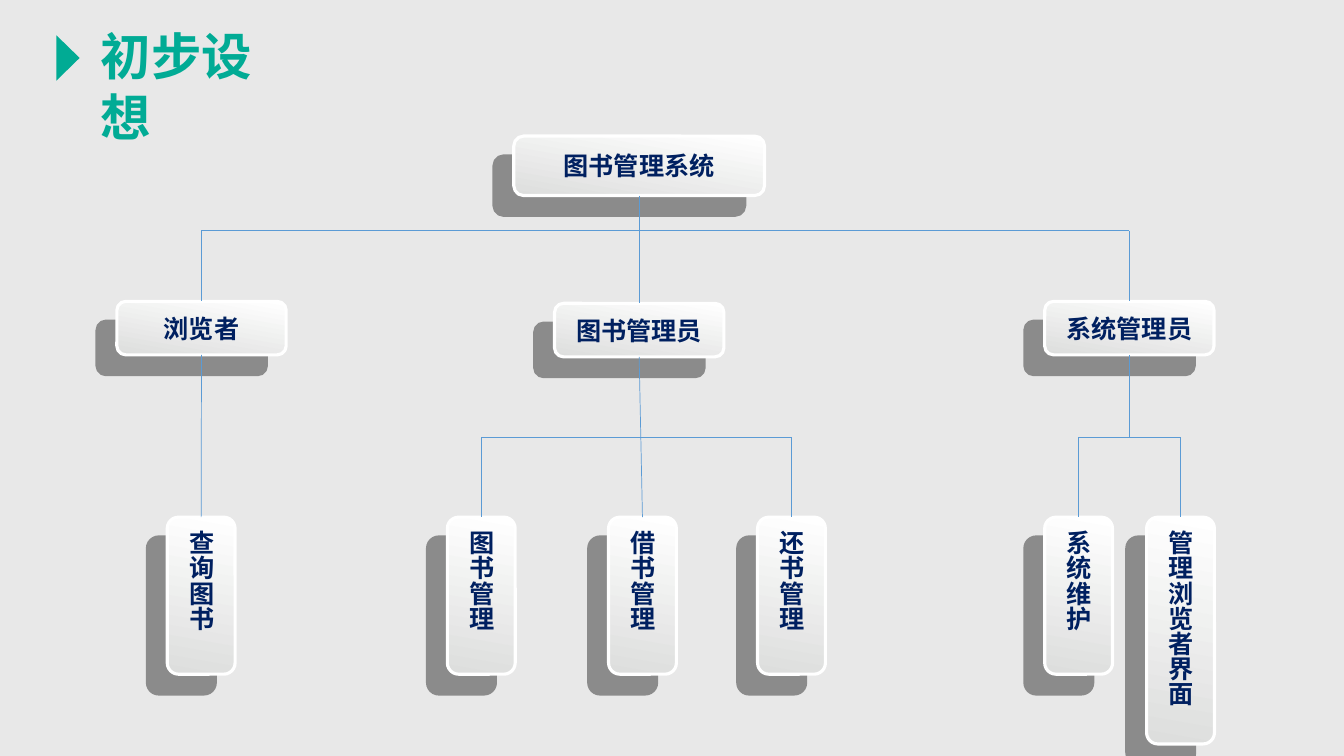
import pptx
import pptx.util
import pptx.dml.color
import pptx.enum.shapes
import pptx.enum.text
import pptx.oxml.ns
from lxml import etree

Pt = pptx.util.Pt
color = pptx.dml.color.RGBColor.from_string
qn = pptx.oxml.ns.qn
shape_types = pptx.enum.shapes.MSO_SHAPE
alignments = pptx.enum.text.PP_ALIGN
anchors = pptx.enum.text.MSO_ANCHOR

LEAF_TOP = 369.4
LEAF_WIDTH = 48.5
ROOT_BUS = 164.9
LEAF_BUS = 312.5

presentation = pptx.Presentation()
presentation.slide_width = Pt(960.5)
presentation.slide_height = Pt(540)
slide = presentation.slides.add_slide(presentation.slide_layouts[5])
slide.background.fill.solid()
slide.background.fill.fore_color.rgb = color("E8E8E8")

# Title and its marker
title = slide.shapes.title
title.left, title.top, title.width, title.height = Pt(64.8), Pt(14.4), Pt(158.4), Pt(50.4)
title.text_frame.text = "初步设想"
title.text_frame.word_wrap = False
title.text_frame.auto_size = pptx.enum.text.MSO_AUTO_SIZE.NONE
title.text_frame.vertical_anchor = anchors.TOP
title_paragraph = title.text_frame.paragraphs[0]
title_paragraph.alignment = alignments.LEFT
title_font = title_paragraph.runs[0].font
title_font.name, title_font.size, title_font.bold = "Arial", Pt(36), True
title_font.color.rgb = color("01AB95")

marker = slide.shapes.add_shape(
    shape_types.ISOSCELES_TRIANGLE, Pt(32.4), Pt(33.1), Pt(32.4), Pt(16.6))
marker.rotation = 90
marker.shadow.inherit = False
marker.fill.solid()
marker.fill.fore_color.rgb = color("01AB94")
marker.line.fill.background()


def add_box(label, left, top, width, height):
    """Add a shadowed box; a box taller than wide gets vertical text."""
    box = slide.shapes.add_shape(
        shape_types.ROUNDED_RECTANGLE, Pt(left), Pt(top), Pt(width), Pt(height))
    box.fill.gradient()
    box.fill.gradient_angle = 260
    for stop, stop_color in zip(box.fill.gradient_stops, ("FFFFFF", "DDDEDD")):
        stop.color.rgb = color(stop_color)
    box.line.color.rgb = color("FFFFFF")
    box.line.width = Pt(2.25)

    box.shadow.inherit = False
    effects = box._element.spPr.find(qn("a:effectLst"))
    shadow = etree.SubElement(
        effects, qn("a:outerShdw"), dist=str(Pt(20)), dir=str(135 * 60000),
        algn="ctr", rotWithShape="0")
    shadow_color = etree.SubElement(shadow, qn("a:srgbClr"), val="000000")
    etree.SubElement(shadow_color, qn("a:alpha"), val="40000")

    frame = box.text_frame
    frame.text = label
    frame.vertical_anchor = anchors.MIDDLE
    if height > width:
        frame._txBody.bodyPr.set("vert", "eaVert")
        frame.margin_left = frame.margin_right = Pt(3.6)
        frame.margin_top = frame.margin_bottom = Pt(7.2)
    paragraph = frame.paragraphs[0]
    paragraph.alignment = alignments.CENTER
    font = paragraph.runs[0].font
    font.name, font.size, font.bold = "Arial", Pt(18), True
    font.color.rgb = color("002060")
    return box


def add_line(start, end, upper_box=None, lower_box=None):
    """Draw a line, joined to the bottom of upper_box and the top of lower_box."""
    line = slide.shapes.add_connector(
        pptx.enum.shapes.MSO_CONNECTOR.STRAIGHT, *start, *end)
    if upper_box is not None:
        line.begin_connect(upper_box, 2)
    if lower_box is not None:
        line.end_connect(lower_box, 0)
    line.line.color.rgb = color("5B9BD5")
    line.line.width = Pt(0.5)
    etree.SubElement(line._element.spPr, qn("a:effectLst"))


# Each role: label, left, top, and leaves as (label, left, height)
roles = [
    ("浏览者", 83.5, 215.3, [("查询图书", 119.5, 112.2)]),
    ("图书管理员", 396.3, 216.7, [
        ("图书管理", 319.7, 112.2), ("借书管理", 434.9, 112.2), ("还书管理", 541.4, 112.2)]),
    ("系统管理员", 746.6, 215.3, [
        ("系统维护", 746.6, 112.2), ("管理浏览者界面", 819.4, 162)]),
]

root_box = add_box("图书管理系统", 367.2, 97.2, 179.2, 42.5)
branches = []
for role_label, role_left, role_top, leaves in roles:
    role_box = add_box(role_label, role_left, role_top, 121, 38.2)
    leaf_boxes = [add_box(leaf_label, leaf_left, LEAF_TOP, LEAF_WIDTH, leaf_height)
                  for leaf_label, leaf_left, leaf_height in leaves]
    branches.append((role_box, leaf_boxes))

# Lines from a parent: an odd middle child joins directly, the others hang from a bus
families = [(root_box, [role_box for role_box, _ in branches], ROOT_BUS)]
families += [(role_box, leaf_boxes, LEAF_BUS) for role_box, leaf_boxes in branches]
for parent, children, bus in families:
    parent_center = parent.left + parent.width // 2
    centers = [child.left + child.width // 2 for child in children]
    middle = len(children) // 2 if len(children) % 2 else None
    if len(children) > 1:
        add_line((centers[0], Pt(bus)), (centers[-1], Pt(bus)))
    if middle is None:
        add_line((parent_center, parent.top + parent.height), (parent_center, Pt(bus)), parent)
    for index, (child, center) in enumerate(zip(children, centers)):
        upper_box = parent if index == middle else None
        add_line((center, Pt(bus)), (center, child.top), upper_box, child)

presentation.save("out.pptx")
